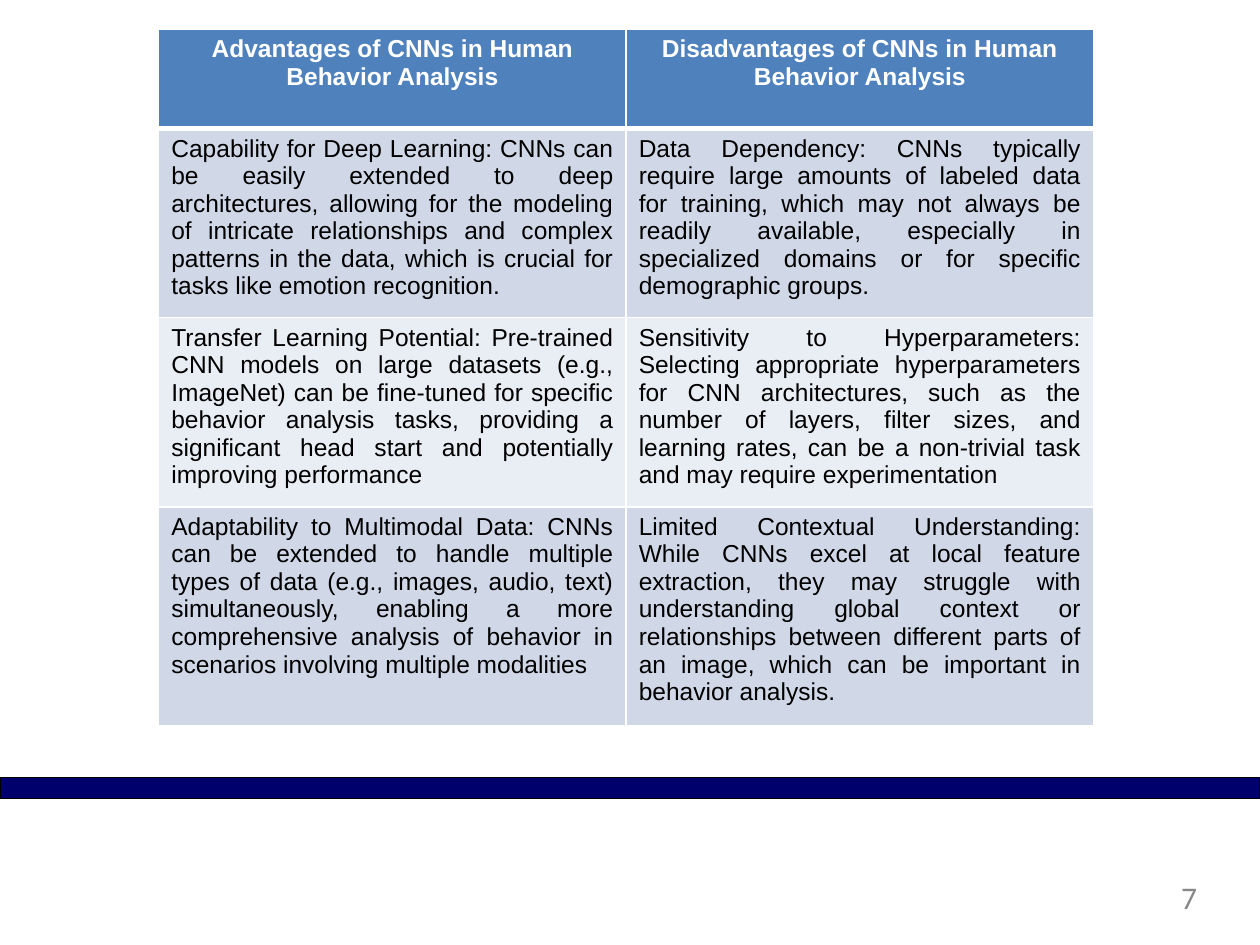
from lxml.etree import SubElement
from pptx import Presentation
from pptx.dml.color import RGBColor
from pptx.enum.shapes import MSO_SHAPE as Shape
from pptx.enum.text import PP_ALIGN as Align
from pptx.oxml.ns import qn
from pptx.util import Inches, Pt

COLORS = {
    "bar": "00006C",
    "header": "4F81BD",
    "odd_row": "D0D8E8",
    "even_row": "E9EDF4",
    "white": "FFFFFF",
    "black": "000000",
    "number": "888888",
}
ROWS = [
    ("Advantages of CNNs in Human Behavior Analysis",
     "Disadvantages of CNNs in Human Behavior Analysis"),
    ("Capability for Deep Learning: CNNs can be easily extended to deep architectures, "
     "allowing for the modeling of intricate relationships and complex patterns in the data, "
     "which is crucial for tasks like emotion recognition.",
     "Data Dependency: CNNs typically require large amounts of labeled data for training, "
     "which may not always be readily available, especially in specialized domains or for "
     "specific demographic groups."),
    ("Transfer Learning Potential: Pre-trained CNN models on large datasets (e.g., ImageNet) "
     "can be fine-tuned for specific behavior analysis tasks, providing a significant head "
     "start and potentially improving performance",
     "Sensitivity to Hyperparameters: Selecting appropriate hyperparameters for CNN "
     "architectures, such as the number of layers, filter sizes, and learning rates, can be a "
     "non-trivial task and may require experimentation"),
    ("Adaptability to Multimodal Data: CNNs can be extended to handle multiple types of data "
     "(e.g., images, audio, text) simultaneously, enabling a more comprehensive analysis of "
     "behavior in scenarios involving multiple modalities",
     "Limited Contextual Understanding: While CNNs excel at local feature extraction, they may "
     "struggle with understanding global context or relationships between different parts of "
     "an image, which can be important in behavior analysis."),
]
ROW_HEIGHTS = [0.79, 1.5, 1.5, 1.73]


def format_text(para, font_name, size, color, align, bold=False):
    para.alignment = align
    for span in para.runs:
        span.font.name = font_name
        span.font.size = Pt(size)
        span.font.bold = bold
        span.font.color.rgb = RGBColor.from_string(COLORS[color])


def add_border(cell, side, width):
    line = SubElement(cell._tc.get_or_add_tcPr(), qn(f"a:{side}"), w=str(Pt(width)))
    fill = SubElement(line, qn("a:solidFill"))
    SubElement(fill, qn("a:srgbClr"), val=COLORS["white"])


deck = Presentation()
deck.slide_width = Inches(10)
deck.slide_height = Inches(7.5)
page = deck.slides.add_slide(deck.slide_layouts[6])

bar = page.shapes.add_shape(Shape.RECTANGLE, Inches(0), Inches(6.17), Inches(10), Inches(0.17))
bar.shadow.inherit = False
bar.fill.solid()
bar.fill.fore_color.rgb = RGBColor.from_string(COLORS["bar"])
bar.line.color.rgb = RGBColor.from_string(COLORS["black"])
bar.line.width = Pt(0.75)

number_box = page.shapes.add_textbox(Inches(7.2), Inches(6.97), Inches(2.3), Inches(0.38))
number_frame = number_box.text_frame
number_frame.word_wrap = True
number_frame.margin_left = number_frame.margin_right = Inches(0)
number_frame.margin_top = number_frame.margin_bottom = Inches(0)
number_frame.text = "7"
format_text(number_frame.paragraphs[0], "Calibri", 18, "number", Align.RIGHT)

table = page.shapes.add_table(
    len(ROWS), 2, Inches(1.26), Inches(0.23), Inches(7.42), Inches(sum(ROW_HEIGHTS))
).table
for row_index, texts in enumerate(ROWS):
    table.rows[row_index].height = Inches(ROW_HEIGHTS[row_index])
    is_header = row_index == 0
    fill_color = "header" if is_header else "odd_row" if row_index % 2 else "even_row"
    for column_index, text in enumerate(texts):
        cell = table.cell(row_index, column_index)
        add_border(cell, "lnL", 1)
        add_border(cell, "lnR", 1)
        add_border(cell, "lnT", 3 if row_index == 1 else 1)
        add_border(cell, "lnB", 3 if is_header else 1)
        cell.fill.solid()
        cell.fill.fore_color.rgb = RGBColor.from_string(COLORS[fill_color])
        cell.text_frame.text = text
        format_text(
            cell.text_frame.paragraphs[0], "Arial", 14,
            "white" if is_header else "black",
            Align.CENTER if is_header else Align.JUSTIFY,
            bold=is_header,
        )

deck.save("out.pptx")
